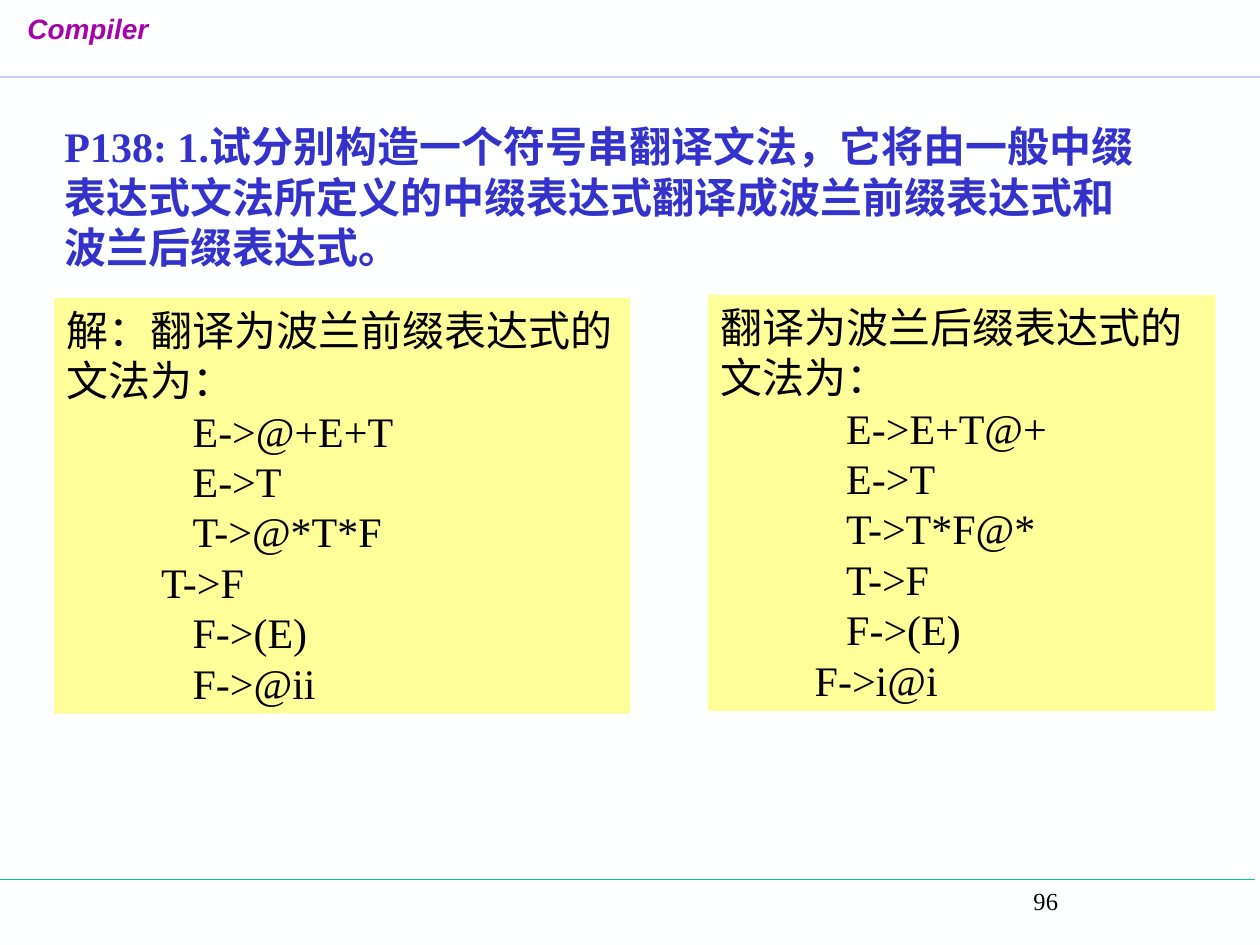
from dataclasses import dataclass

from lxml.etree import SubElement
from pptx import Presentation
from pptx.dml.color import RGBColor
from pptx.enum.shapes import MSO_CONNECTOR, MSO_SHAPE
from pptx.enum.text import MSO_ANCHOR, MSO_AUTO_SIZE, PP_ALIGN
from pptx.oxml.ns import qn
from pptx.slide import Slide
from pptx.util import Pt

COLORS = {
    "background": "FEFFFF",
    "header_rule": "CCCCFF",
    "footer_rule": "00CC99",
    "course": "A603AB",
    "question": "3333CC",
    "panel": "FFFF99",
    "body": "000000",
}
SERIF = "Times New Roman"
BODY = {"name": SERIF, "size": Pt(24)}
DEEP, SHALLOW = 72, 54


@dataclass
class Line:
    text: str
    indent: float = 0


@dataclass
class Block:
    left: float
    top: float
    width: float
    height: float
    lines: list[Line]
    font: dict
    color: str = "body"
    fill: str | None = None
    anchor: MSO_ANCHOR = MSO_ANCHOR.MIDDLE


@dataclass
class Rule:
    left: float
    top: float
    right: float
    weight: float
    color: str


RULES = [
    Rule(-3, 502.5, 717, 1, "footer_rule"),
    Rule(0, 44, 720, 1, "header_rule"),
]

BLOCKS = [
    Block(8.6, 3, 95, 40, [Line("Compiler")],
          {"name": "Arial", "size": Pt(16), "bold": True, "italic": True},
          color="course", anchor=MSO_ANCHOR.TOP),
    Block(496, 502.5, 221, 36, [Line("96", 87.5)],
          {"name": SERIF, "size": Pt(14)}, anchor=MSO_ANCHOR.TOP),
    Block(29.7, 65.5, 650, 93.6, [
        Line("P138: 1.试分别构造一个符号串翻译文法，它将由一般中缀"),
        Line("表达式文法所定义的中缀表达式翻译成波兰前缀表达式和"),
        Line("波兰后缀表达式。"),
    ], BODY | {"bold": True}, color="question"),
    Block(31, 170.3, 329, 237.6, [
        Line("解：翻译为波兰前缀表达式的文法为："),
        Line("E->@+E+T", DEEP),
        Line("E->T", DEEP),
        Line("T->@*T*F", DEEP),
        Line("T->F", SHALLOW),
        Line("F->(E)", DEEP),
        Line("F->@ii", DEEP),
    ], BODY, fill="panel"),
    Block(404.5, 168.6, 290.2, 237.6, [
        Line("翻译为波兰后缀表达式的文法为："),
        Line("E->E+T@+", DEEP),
        Line("E->T", DEEP),
        Line("T->T*F@*", DEEP),
        Line("T->F", DEEP),
        Line("F->(E)", DEEP),
        Line("F->i@i", SHALLOW),
    ], BODY, fill="panel"),
]


def rgb(name: str) -> RGBColor:
    return RGBColor.from_string(COLORS[name])


def draw_rule(page: Slide, rule: Rule) -> None:
    connector = page.shapes.add_connector(
        MSO_CONNECTOR.STRAIGHT,
        Pt(rule.left), Pt(rule.top), Pt(rule.right), Pt(rule.top))
    connector.line.color.rgb = rgb(rule.color)
    connector.line.width = Pt(rule.weight)
    SubElement(connector._element.spPr, qn("a:effectLst"))


def draw_block(page: Slide, block: Block) -> None:
    """Draw a filled rectangle when the block has a fill, else a text box."""
    place = Pt(block.left), Pt(block.top), Pt(block.width), Pt(block.height)
    if block.fill:
        box = page.shapes.add_shape(MSO_SHAPE.RECTANGLE, *place)
        box.shadow.inherit = False
        box.fill.solid()
        box.fill.fore_color.rgb = rgb(block.fill)
        box.line.fill.background()
    else:
        box = page.shapes.add_textbox(*place)

    frame = box.text_frame
    frame.word_wrap = True
    frame.vertical_anchor = block.anchor
    if block.anchor == MSO_ANCHOR.MIDDLE:
        frame.auto_size = MSO_AUTO_SIZE.SHAPE_TO_FIT_TEXT

    for number, line in enumerate(block.lines):
        para = frame.add_paragraph() if number else frame.paragraphs[0]
        para.alignment = PP_ALIGN.LEFT
        if line.indent:
            para._p.get_or_add_pPr().set("marL", str(Pt(line.indent)))
        span = para.add_run()
        span.text = line.text
        for key, value in block.font.items():
            setattr(span.font, key, value)
        span.font.color.rgb = rgb(block.color)


def main() -> None:
    deck = Presentation()
    deck.slide_width, deck.slide_height = Pt(720), Pt(540)
    page = deck.slides.add_slide(deck.slide_layouts[6])
    page.background.fill.solid()
    page.background.fill.fore_color.rgb = rgb("background")
    for rule in RULES:
        draw_rule(page, rule)
    for block in BLOCKS:
        draw_block(page, block)
    deck.save("out.pptx")


if __name__ == "__main__":
    main()
